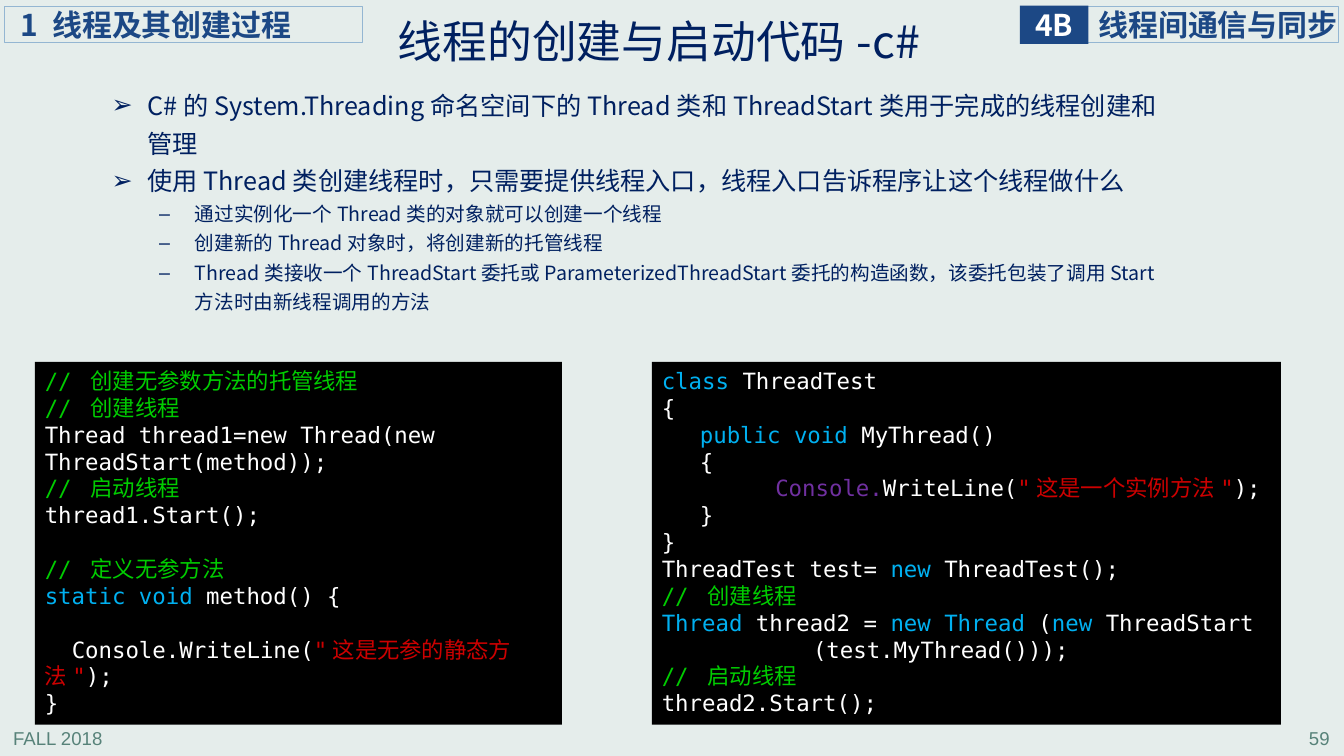
from lxml import etree
from pptx import Presentation
from pptx.dml.color import RGBColor
from pptx.enum.shapes import MSO_SHAPE
from pptx.enum.text import MSO_ANCHOR, MSO_AUTO_SIZE, PP_ALIGN
from pptx.oxml.ns import qn
from pptx.util import Cm, Pt

RECT = MSO_SHAPE.RECTANGLE
TOP, MIDDLE = MSO_ANCHOR.TOP, MSO_ANCHOR.MIDDLE
LEFT, CENTER, RIGHT = PP_ALIGN.LEFT, PP_ALIGN.CENTER, PP_ALIGN.RIGHT
FIXED = MSO_AUTO_SIZE.NONE

SANS, MONO, PLAIN = "Noto Sans CJK SC", "DejaVu Sans Mono", "Arial"
NAVY, BLUE, EDGE, GREY = "002060", "1C4885", "94B6D2", "578279"
WHITE, BLACK, GREEN = "FFFFFF", "000000", "00CC00"
CYAN, RED, PURPLE = "00B0F0", "CC0000", "7030A0"
PITCH = 19.2  # code line height in points

POINTS = [
    (0, "C#的System.Threading命名空间下的Thread类和ThreadStart类用于完成的线程创建和管理"),
    (0, "使用Thread类创建线程时，只需要提供线程入口，线程入口告诉程序让这个线程做什么"),
    (1, "通过实例化一个Thread类的对象就可以创建一个线程"),
    (1, "创建新的Thread对象时，将创建新的托管线程"),
    (1, "Thread类接收一个ThreadStart委托或ParameterizedThreadStart委托的构造函数，"
        "该委托包装了调用Start方法时由新线程调用的方法"),
]

# Code lines: margin, first-line indent (cm), blank lines above, coloured runs
STATIC = [
    (0, 0, 0, [("// 创建无参数方法的托管线程", GREEN)]),
    (0, 0, 0, [("// 创建线程", GREEN)]),
    (0, 0, 0, [("Thread thread1=new Thread(new ThreadStart(method));", WHITE)]),
    (0, 0, 0, [("// 启动线程", GREEN)]),
    (0, 0, 0, [("thread1.Start();", WHITE)]),
    (0, 0, 1, [("// 定义无参方法", GREEN)]),
    (0, 0, 0, [("static void", CYAN), (" method() {", WHITE)]),
    (0, 0.68, 1, [("Console.WriteLine(", WHITE),
                  ("\"这是无参的静态方法\"", RED), (");", WHITE)]),
    (0, 0, 0, [("}", WHITE)]),
]
MEMBER = [
    (0, 0, 0, [("class ", CYAN), ("ThreadTest", WHITE)]),
    (0, 0, 0, [("{", WHITE)]),
    (0.96, 0, 0, [("public void ", CYAN), ("MyThread()", WHITE)]),
    (0.96, 0, 0, [("{", WHITE)]),
    (0.96, 1.9, 0, [("Console.", PURPLE), ("WriteLine(", WHITE),
                    ("\"这是一个实例方法\"", RED), (");", WHITE)]),
    (0.96, 0, 0, [("}", WHITE)]),
    (0, 0, 0, [("}", WHITE)]),
    (0, 0, 0, [("ThreadTest test= ", WHITE), ("new ", CYAN),
               ("ThreadTest();", WHITE)]),
    (0, 0, 0, [("// 创建线程", GREEN)]),
    (3.81, -3.81, 0, [("Thread", CYAN), (" thread2 = ", WHITE),
                      ("new Thread", CYAN), (" (", WHITE), ("new ", CYAN),
                      ("ThreadStart (test.MyThread()));", WHITE)]),
    (0, 0, 0, [("// 启动线程", GREEN)]),
    (0, 0, 0, [("thread2.Start();", WHITE)]),
]


def color(code):
    return RGBColor.from_string(code)


def style(para, size, face, ink=None, bold=False):
    font = para.font
    font.size, font.name, font.bold = Pt(size), face, bold
    if ink:
        font.color.rgb = color(ink)
    props = para._p.pPr.find(qn("a:defRPr"))
    etree.SubElement(props, qn("a:ea")).set("typeface", face)


def indent(para, margin, first):
    props = para._p.get_or_add_pPr()
    props.set("marL", str(Cm(margin)))
    props.set("indent", str(Cm(first)))


def bullet(para, mark):
    props = para._p.pPr.find(qn("a:defRPr"))
    for tag, key, value in (("a:buFont", "typeface", PLAIN),
                            ("a:buChar", "char", mark)):
        node = etree.Element(qn(tag))
        node.set(key, value)
        props.addprevious(node)


def setup(frame, anchor, pads):
    frame.word_wrap = True
    frame.auto_size = FIXED
    frame.vertical_anchor = anchor
    frame.margin_left, frame.margin_top = Cm(pads[0]), Cm(pads[1])
    frame.margin_right, frame.margin_bottom = Cm(pads[2]), Cm(pads[3])


def place(shape, box):
    shape.left, shape.top, shape.width, shape.height = map(Cm, box)


def panel(slide, box, fill=None, edge=None):
    shape = slide.shapes.add_shape(RECT, *map(Cm, box))
    shape.shadow.inherit = False
    if fill:
        shape.fill.solid()
        shape.fill.fore_color.rgb = color(fill)
    else:
        shape.fill.background()
    if edge:
        shape.line.color.rgb = color(edge)
        shape.line.width = Pt(0.75)
    else:
        shape.line.fill.background()
    return shape


def label(slide, box, text, pad, ink=BLUE, fill=None, edge=EDGE, align=LEFT):
    frame = panel(slide, box, fill, edge).text_frame
    setup(frame, MIDDLE, (pad, 0, 0, 0))
    para = frame.paragraphs[0]
    para.text, para.alignment = text, align
    style(para, 21.4, SANS, ink, True)


def footer(slide, box, text, align):
    frame = slide.shapes.add_textbox(*map(Cm, box)).text_frame
    setup(frame, MIDDLE, (0.25, 0, 0.25, 0))
    para = frame.paragraphs[0]
    para.text, para.alignment = text, align
    style(para, 13.3, PLAIN, GREY)


def heading(shape, box, text):
    place(shape, box)
    setup(shape.text_frame, MIDDLE, (0.2, 0.1, 0.2, 0.1))
    para = shape.text_frame.paragraphs[0]
    para.text, para.alignment, para.line_spacing = text, LEFT, 0.9
    style(para, 32, SANS, NAVY)


def outline(shape, box, points):
    place(shape, box)
    frame = shape.text_frame
    setup(frame, TOP, (0.2, 0.1, 0.2, 0.1))
    for i, (level, text) in enumerate(points):
        para = frame.add_paragraph() if i else frame.paragraphs[0]
        para.text, para.level, para.alignment = text, level, LEFT
        para.line_spacing, para.space_before = 1.25, Pt(0)
        indent(para, 1.2 * (level + 1), -0.9)
        style(para, (18, 14)[level], SANS, NAVY)
        bullet(para, "➢–"[level])


def listing(slide, box, lines):
    frame = panel(slide, box, BLACK).text_frame
    setup(frame, MIDDLE, (0.25, 0.08, 0.25, 0.16))
    for i, (margin, first, gap, runs) in enumerate(lines):
        para = frame.add_paragraph() if i else frame.paragraphs[0]
        para.alignment = LEFT
        para.line_spacing, para.space_before = Pt(PITCH), Pt(PITCH * gap)
        indent(para, margin, first)
        style(para, 16, MONO)
        for text, ink in runs:
            run = para.add_run()
            run.text = text
            run.font.color.rgb = color(ink)


def main():
    deck = Presentation()
    deck.slide_width, deck.slide_height = Cm(33.87), Cm(19.05)
    slide = deck.slides.add_slide(deck.slide_layouts[1])
    slide.background.fill.solid()
    slide.background.fill.fore_color.rgb = color("E5EDEB")

    # Footer
    footer(slide, (0.08, 18.2, 7.06, 0.79), "FALL 2018", LEFT)
    footer(slide, (26.7, 18.2, 7.06, 0.79), "59", RIGHT)

    # Chapter labels
    label(slide, (27.38, 0.16, 6.35, 0.92), "线程间通信与同步", 0.3)
    label(slide, (25.7, 0.14, 1.73, 0.97), "4B", 0, WHITE, BLUE, None, CENTER)
    label(slide, (0.11, 0.16, 9.02, 0.92), "1 线程及其创建过程", 0.41)

    # Title and list
    title, body = slide.placeholders
    heading(title, (9.82, 0.18, 18.97, 1.88), "线程的创建与启动代码-c#")
    outline(body, (2.31, 1.98, 27.38, 6.5), POINTS)

    # Code panels
    listing(slide, (0.88, 9.12, 13.28, 9.14), STATIC)
    listing(slide, (16.43, 9.12, 15.85, 9.14), MEMBER)

    deck.save("out.pptx")


if __name__ == "__main__":
    main()
